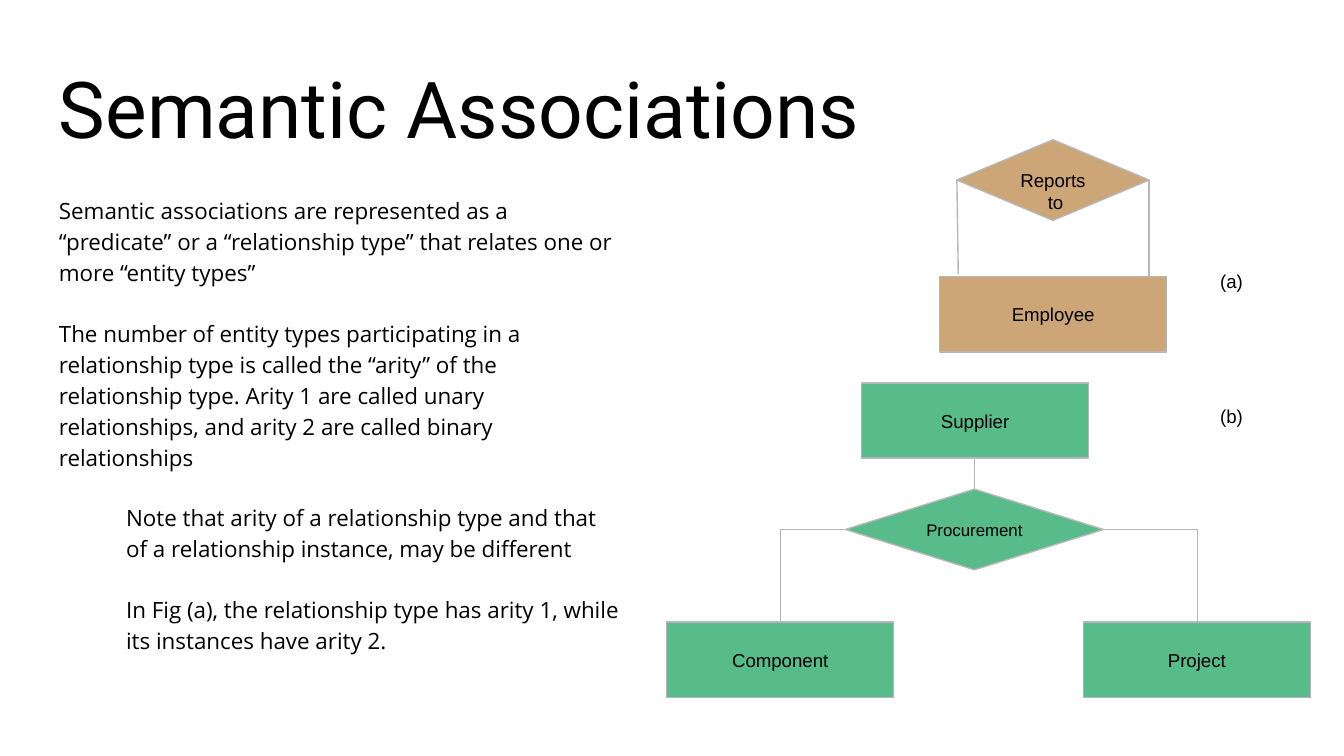
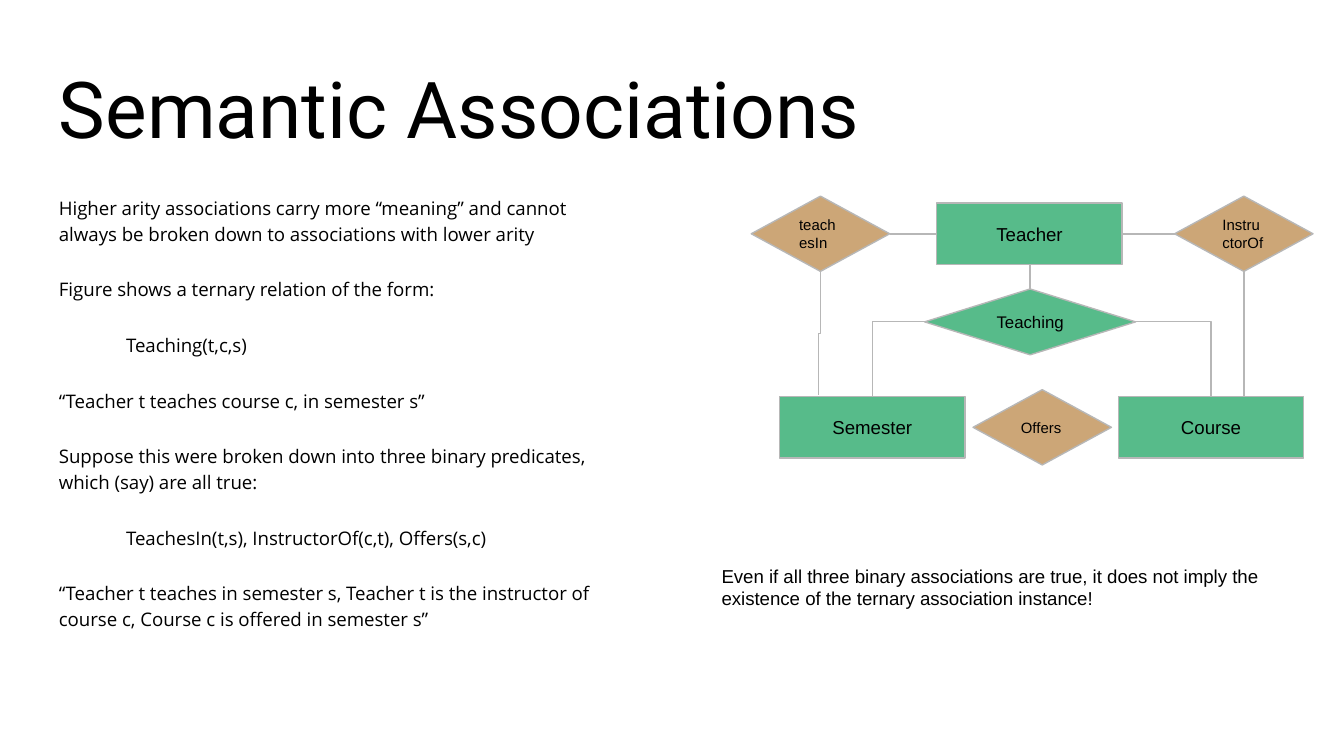
from lxml import etree
from pptx import Presentation
from pptx.dml.color import RGBColor
from pptx.enum.shapes import MSO_CONNECTOR, MSO_SHAPE
from pptx.enum.text import MSO_ANCHOR, PP_ALIGN
from pptx.oxml.ns import qn
from pptx.util import Inches, Pt

RECTANGLE, DIAMOND = MSO_SHAPE.RECTANGLE, MSO_SHAPE.DIAMOND
STRAIGHT, ELBOW = MSO_CONNECTOR.STRAIGHT, MSO_CONNECTOR.ELBOW
TOP, MIDDLE, BOTTOM = MSO_ANCHOR.TOP, MSO_ANCHOR.MIDDLE, MSO_ANCHOR.BOTTOM
LEFT, CENTER = PP_ALIGN.LEFT, PP_ALIGN.CENTER

SLIDE_WIDTH = Inches(10)
SLIDE_HEIGHT = SLIDE_WIDTH * 9 // 16
COLORS = {
    "background": "FFFFFF",
    "text": "000000",
    "line": "B7B7B7",
    "tan": "CCA677",
    "green": "57BB8A",
}
TITLE_FONT, BODY_FONT, LABEL_FONT = "Roboto", "Open Sans", "Arial"
TITLE = "Semantic Associations"
LINE_WIDTH = Pt(0.75)
FRAME_FORMAT = {
    "word_wrap": True,
    "margin_left": Inches(0.1),
    "margin_right": Inches(0.1),
    "margin_top": Inches(0.1),
    "margin_bottom": Inches(0.1),
}

# Each body paragraph is (text, is indented).
ARITY_TEXT = [
    ("Semantic associations are represented as a “predicate” or a “relationship type” "
     "that relates one or more “entity types”", False),
    ("The number of entity types participating in a relationship type is called the "
     "“arity” of the relationship type. Arity 1 are called unary relationships, and "
     "arity 2 are called binary relationships", False),
    ("Note that arity of a relationship type and that of a relationship instance, "
     "may be different", True),
    ("In Fig (a), the relationship type has arity 1, while its instances have arity 2.", True),
]
TERNARY_TEXT = [
    ("Higher arity associations carry more “meaning” and cannot always be broken down "
     "to associations with lower arity", False),
    ("Figure shows a ternary relation of the form:", False),
    ("Teaching(t,c,s)", True),
    ("“Teacher t teaches course c, in semester s”", False),
    ("Suppose this were broken down into three binary predicates, which (say) are all true:",
     False),
    ("TeachesIn(t,s), InstructorOf(c,t), Offers(s,c)", True),
    ("“Teacher t teaches in semester s, Teacher t is the instructor of course c, "
     "Course c is offered in semester s”", False),
]


def set_values(target, values):
    for name, value in values.items():
        setattr(target, name, value)


def color(name):
    return RGBColor.from_string(COLORS[name])


def write_paragraphs(shape, texts, font, size, anchor=TOP, alignment=LEFT):
    frame = shape.text_frame
    set_values(frame, {**FRAME_FORMAT, "vertical_anchor": anchor})
    for index, text in enumerate(texts):
        paragraph = frame.paragraphs[0] if index == 0 else frame.add_paragraph()
        paragraph.alignment = alignment
        run = paragraph.add_run()
        run.text = text
        set_values(run.font, {"name": font, "size": Pt(size)})
        run.font.color.rgb = color("text")
    return frame


def add_text(slide, box, texts, font, size, anchor=TOP):
    shape = slide.shapes.add_textbox(*map(Inches, box))
    return write_paragraphs(shape, texts, font, size, anchor)


def add_body(slide, content, size):
    frame = add_text(slide, (0.34, 1.34, 4.37, 3.67), [text for text, _ in content],
                     BODY_FONT, size)
    for index, (paragraph, (_, indented)) in enumerate(zip(frame.paragraphs, content)):
        set_values(paragraph, {"line_spacing": 1.15, "space_before": Pt(16 if index else 0)})
        if indented:
            paragraph._p.get_or_add_pPr().set("marL", str(Inches(0.5)))


def add_titled_slide(presentation, content, size):
    slide = presentation.slides.add_slide(presentation.slide_layouts[6])
    slide.background.fill.solid()
    slide.background.fill.fore_color.rgb = color("background")
    add_text(slide, (0.34, 0.34, 9.32, 0.91), [TITLE], TITLE_FONT, 42, BOTTOM)
    add_body(slide, content, size)
    return slide


def add_node(slide, kind, box, fill, texts, size=10, alignment=CENTER):
    shape = slide.shapes.add_shape(kind, *map(Inches, box))
    shape.shadow.inherit = False
    shape.fill.solid()
    shape.fill.fore_color.rgb = color(fill)
    shape.line.color.rgb = color("line")
    shape.line.width = LINE_WIDTH
    write_paragraphs(shape, texts, LABEL_FONT, size, MIDDLE, alignment)
    return shape


def side(shape, name):
    """Return the midpoint of one side of a shape."""
    across, down = {"left": (0, 0.5), "right": (1, 0.5),
                    "top": (0.5, 0), "bottom": (0.5, 1)}[name]
    return (int(shape.left + across * shape.width), int(shape.top + down * shape.height))


def connect(slide, begin, end, kind=STRAIGHT):
    connector = slide.shapes.add_connector(kind, *begin, *end)
    connector.line.color.rgb = color("line")
    connector.line.width = LINE_WIDTH
    etree.SubElement(connector._element.spPr, qn("a:effectLst"))
    return connector


def connect_vertical(slide, begin, bottom):
    connect(slide, begin, (begin[0], bottom))


def connect_corner(slide, begin, end):
    """Run across from begin, then down to end, with a single corner."""
    connector = connect(slide, begin, end, ELBOW)
    connector._element.spPr.find(qn("a:prstGeom")).set("prst", "bentConnector2")


def connect_jog(slide, begin, end):
    """Run down from begin to end with a sidestep halfway."""
    middle_x, middle_y = (begin[0] + end[0]) // 2, (begin[1] + end[1]) // 2
    half_drift, half_drop = (end[0] - begin[0]) // 2, (end[1] - begin[1]) // 2
    connector = connect(slide, (middle_x - half_drop, middle_y + half_drift),
                        (middle_x + half_drop, middle_y - half_drift), ELBOW)
    connector._element.spPr.find(qn("a:xfrm")).set("rot", str(90 * 60000))


def connect_ternary(slide, relation, above, lower_left, lower_right, left_x, right_x):
    """Join a relation to the entity above it and to the two below it."""
    connect_vertical(slide, side(relation, "top"), above.top + above.height)
    connect_corner(slide, side(relation, "left"), (Inches(left_x), lower_left.top))
    connect_corner(slide, side(relation, "right"), (Inches(right_x), lower_right.top))


def build_arity_slide(presentation):
    slide = add_titled_slide(presentation, ARITY_TEXT, 12)

    def entity(left, top, fill, text):
        return add_node(slide, RECTANGLE, (left, top, 1.69, 0.56), fill, [text])

    employee = entity(6.99, 2.06, "tan", "Employee")
    reports = add_node(slide, DIAMOND, (7.12, 1.04, 1.43, 0.6), "tan", ["Reports", " to"])
    set_values(reports.text_frame, {"margin_top": Inches(0.16), "margin_bottom": 0})
    connect(slide, side(reports, "left"), (Inches(7.13), Inches(2.04)))
    connect_vertical(slide, side(reports, "right"), employee.top)

    component = entity(4.96, 4.63, "green", "Component")
    project = entity(8.06, 4.63, "green", "Project")
    supplier = entity(6.41, 2.85, "green", "Supplier")
    procurement = add_node(slide, DIAMOND, (6.29, 3.64, 1.92, 0.6), "green",
                           ["Procurement"], 9)
    connect_ternary(slide, procurement, supplier, component, project, 5.81, 8.91)
    figure_labels = add_text(slide, (8.98, 1.91, 0.41, 1.79), ["(a)", "(b)"], LABEL_FONT, 10)
    figure_labels.paragraphs[1].space_before = Pt(60)


def build_ternary_slide(presentation):
    slide = add_titled_slide(presentation, TERNARY_TEXT, 10)

    def entity(left, top, text):
        return add_node(slide, RECTANGLE, (left, top, 1.38, 0.46), "green", [text])

    def binary(left, top, text):
        return add_node(slide, DIAMOND, (left, top, 1.03, 0.56), "tan", [text], 8, LEFT)

    semester = entity(5.8, 2.95, "Semester")
    course = entity(8.32, 2.95, "Course")
    teacher = entity(6.97, 1.51, "Teacher")
    teaching = add_node(slide, DIAMOND, (6.88, 2.15, 1.57, 0.49), "green", ["Teaching"], 9)
    connect_ternary(slide, teaching, teacher, semester, course, 6.49, 9.01)

    binary(7.24, 2.9, "Offers")
    teaches_in = binary(5.59, 1.46, "teachesIn")
    instructor_of = binary(8.74, 1.46, "InstructorOf")
    connect(slide, side(teaches_in, "right"), side(teacher, "left"))
    connect(slide, side(teacher, "right"), side(instructor_of, "left"))
    connect_jog(slide, side(teaches_in, "bottom"), (Inches(6.09), Inches(2.94)))
    connect_vertical(slide, side(instructor_of, "bottom"), course.top)

    add_text(slide, (5.27, 4.1, 4.25, 0.5),
             ["Even if all three binary associations are true, it does not imply the "
              "existence of the ternary association instance!"], LABEL_FONT, 10)


def main():
    presentation = Presentation()
    set_values(presentation, {"slide_width": SLIDE_WIDTH, "slide_height": SLIDE_HEIGHT})
    build_arity_slide(presentation)
    build_ternary_slide(presentation)
    presentation.save("out.pptx")


if __name__ == "__main__":
    main()
